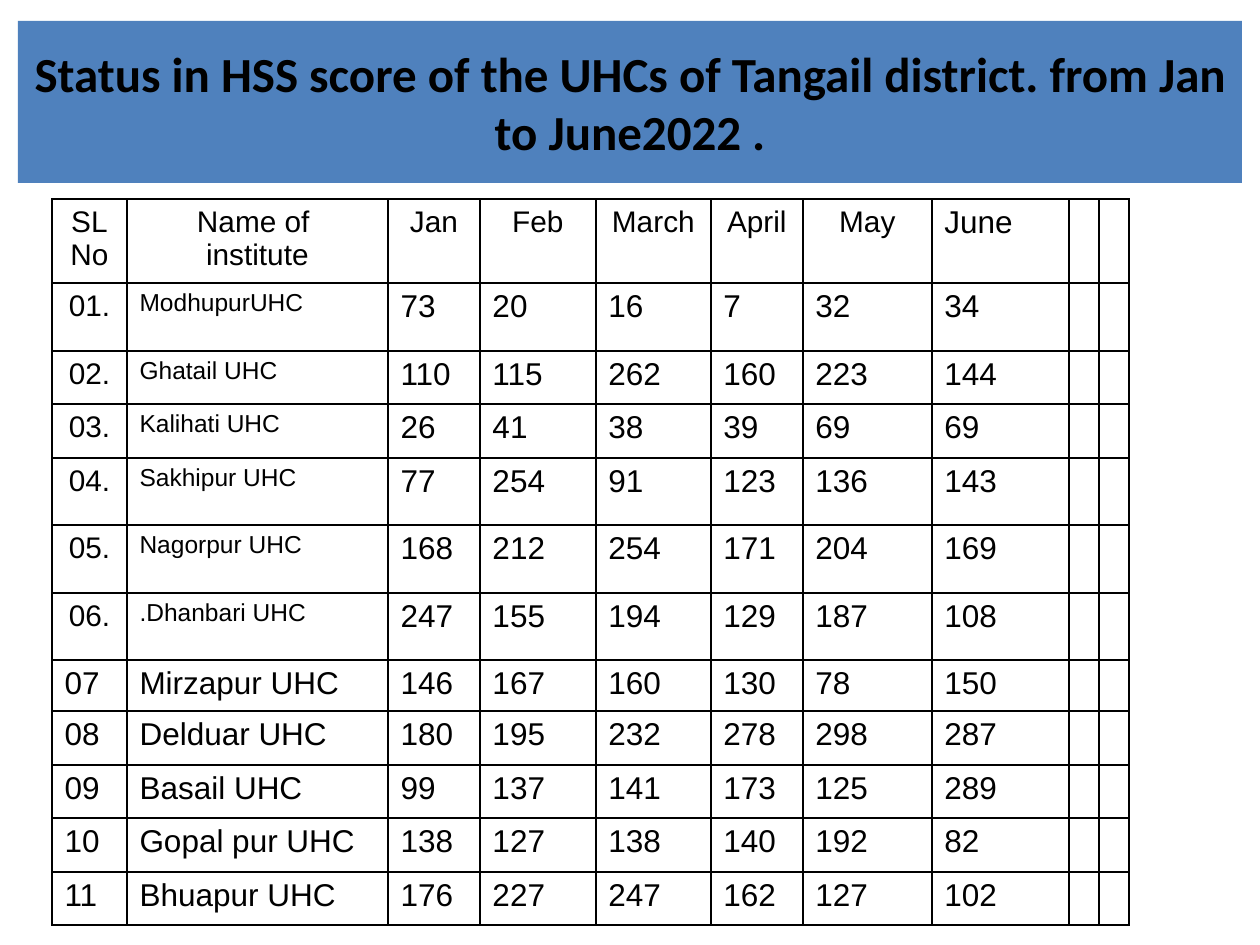
from lxml.etree import SubElement
from pptx import Presentation
from pptx.dml.color import RGBColor
from pptx.enum.shapes import MSO_SHAPE as Shape
from pptx.enum.text import MSO_ANCHOR as Anchor, PP_ALIGN as Align
from pptx.oxml.ns import qn
from pptx.util import Pt

PX = 914400 / 126
BLACK = RGBColor(0x00, 0x00, 0x00)
BLUE = RGBColor(0x4F, 0x81, 0xBD)

TITLE = "Status in HSS score of the UHCs of Tangail district. from Jan to June2022 ."
HEADER = ["SL\nNo", "Name of \ninstitute", "Jan", "Feb", "March", "April", "May", "June"]
SCORES = [
    ["01.", "ModhupurUHC", 73, 20, 16, 7, 32, 34],
    ["02.", "Ghatail UHC", 110, 115, 262, 160, 223, 144],
    ["03.", "Kalihati UHC", 26, 41, 38, 39, 69, 69],
    ["04.", "Sakhipur UHC", 77, 254, 91, 123, 136, 143],
    ["05.", "Nagorpur UHC", 168, 212, 254, 171, 204, 169],
    ["06.", ".Dhanbari UHC", 247, 155, 194, 129, 187, 108],
    ["07", "Mirzapur UHC", 146, 167, 160, 130, 78, 150],
    ["08", "Delduar UHC", 180, 195, 232, 278, 298, 287],
    ["09", "Basail UHC", 99, 137, 141, 173, 125, 289],
    ["10", "Gopal pur UHC", 138, 127, 138, 140, 192, 82],
    ["11", "Bhuapur UHC", 176, 227, 247, 162, 127, 102],
]
COLUMN_WIDTHS = [75, 261, 92, 116, 115, 92, 129, 137, 30, 30]
ROW_HEIGHTS = [84, 68, 53, 54, 67, 68, 67, 51, 54, 53, 54, 53]
HANGING = 48
SMALL_ROWS = 6  # score rows with a smaller number and name


def px(length):
    return round(length * PX)


def write(frame, text, size=18, font="Arial", align=Align.LEFT, bold=False, hanging=0):
    """Write one paragraph per line of text."""
    for index, line in enumerate(text.split("\n")):
        para = frame.add_paragraph() if index else frame.paragraphs[0]
        para.alignment = align
        if hanging:
            properties = para._p.get_or_add_pPr()
            properties.set("marL", str(px(hanging)))
            properties.set("indent", str(-px(hanging)))
        span = para.add_run()
        span.text = line
        span.font.size = Pt(size)
        span.font.name = font
        span.font.bold = bold
        span.font.color.rgb = BLACK


def draw_borders(cell):
    properties = cell._tc.get_or_add_tcPr()
    for position, side in enumerate(("a:lnL", "a:lnR", "a:lnT", "a:lnB")):
        line = properties.makeelement(qn(side), {"w": str(Pt(1))})
        fill = SubElement(line, qn("a:solidFill"))
        SubElement(fill, qn("a:srgbClr"), val=str(BLACK))
        properties.insert(position, line)


def cell_format(row, column):
    """Choose the text format from the place in the table."""
    centred = dict(size=17, align=Align.CENTER, hanging=HANGING)
    if row == 0:
        return centred if column < 7 else {}
    if row <= SMALL_ROWS and column == 0:
        return centred
    if row <= SMALL_ROWS and column == 1:
        return dict(size=14, hanging=HANGING)
    return {}


def add_title(page, left, top, width, height):
    box = page.shapes.add_shape(Shape.RECTANGLE, px(left), px(top), px(width), px(height))
    box.shadow.inherit = False
    box.fill.solid()
    box.fill.fore_color.rgb = BLUE
    box.line.fill.background()
    box.text_frame.word_wrap = True
    box.text_frame.vertical_anchor = Anchor.MIDDLE
    write(box.text_frame, TITLE, size=28, font="Calibri", align=Align.CENTER, bold=True)


def add_scores(page, left, top):
    table = page.shapes.add_table(
        len(ROW_HEIGHTS), len(COLUMN_WIDTHS), px(left), px(top),
        px(sum(COLUMN_WIDTHS)), px(sum(ROW_HEIGHTS))).table
    table.first_row = table.horz_banding = False
    for column, width in zip(table.columns, COLUMN_WIDTHS):
        column.width = px(width)
    for row, height in zip(table.rows, ROW_HEIGHTS):
        row.height = px(height)

    # Plain cells with black rules
    for cell in table.iter_cells():
        cell.fill.background()
        draw_borders(cell)

    # Header and scores; the last two columns stay empty
    for row, values in enumerate([HEADER] + SCORES):
        for column, value in enumerate(values):
            write(table.cell(row, column).text_frame, str(value), **cell_format(row, column))


def main():
    deck = Presentation()
    deck.slide_width, deck.slide_height = px(1260), px(945)
    page = deck.slides.add_slide(deck.slide_layouts[6])
    add_scores(page, 52, 199)
    add_title(page, 18, 21, 1224, 162)
    deck.save("out.pptx")


if __name__ == "__main__":
    main()
